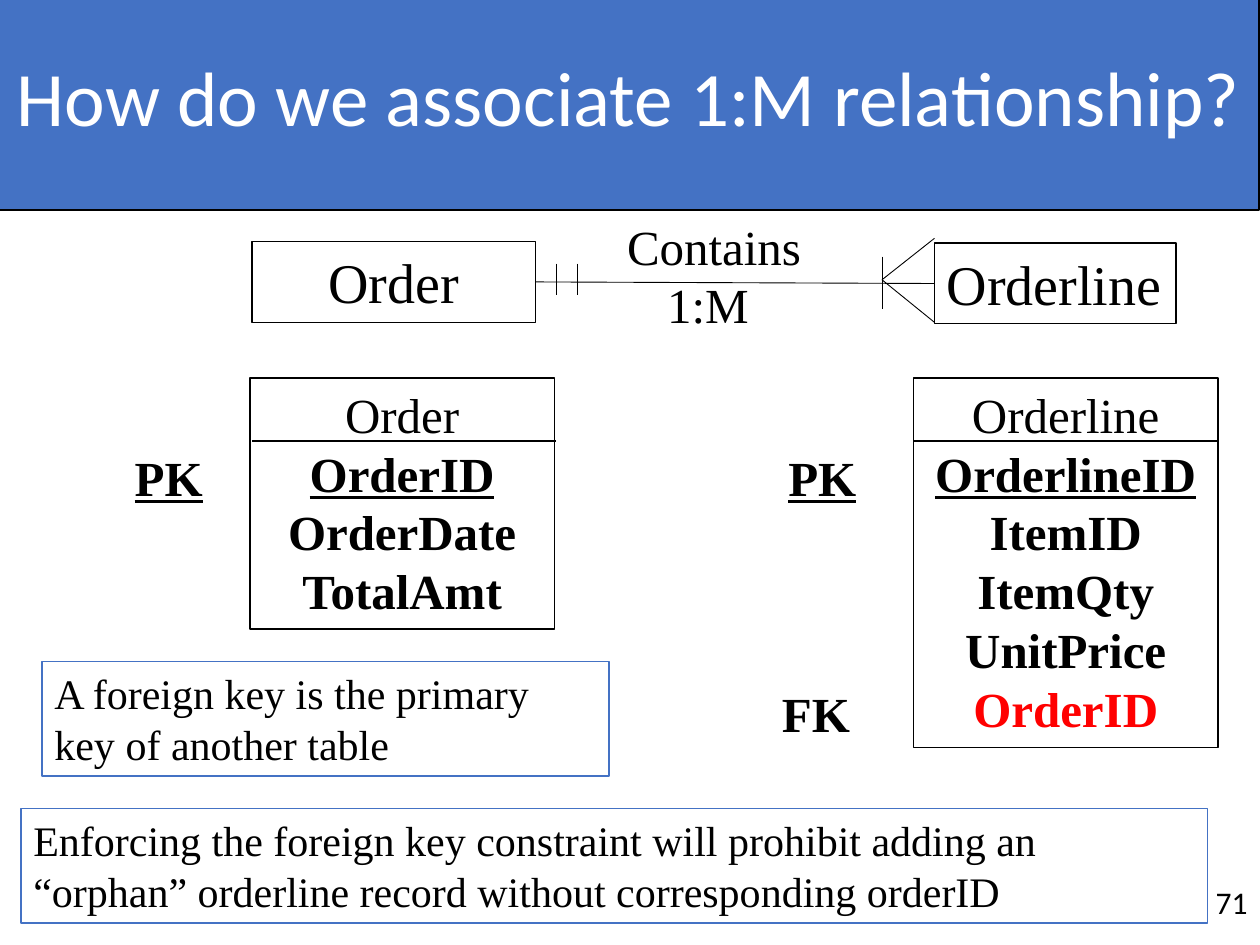
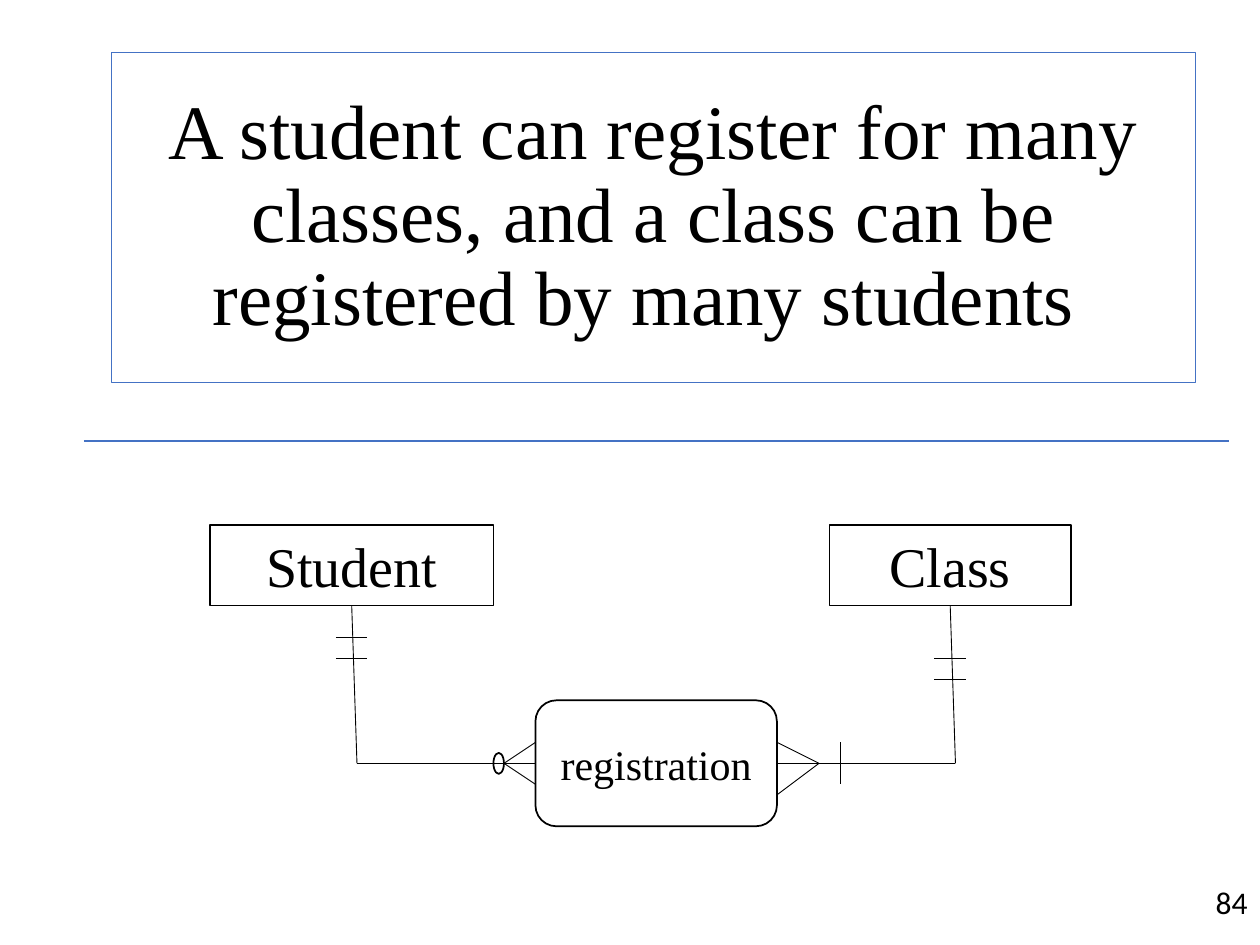
from dataclasses import dataclass
from typing import NamedTuple

import pptx
import pptx.dml.color
import pptx.enum.shapes
import pptx.enum.text
import pptx.oxml.ns
import pptx.util
from lxml import etree

RGB = pptx.dml.color.RGBColor
SHAPE = pptx.enum.shapes.MSO_SHAPE
ALIGN = pptx.enum.text.PP_ALIGN
ANCHOR = pptx.enum.text.MSO_ANCHOR

# Shared look
BLACK = RGB(0x00, 0x00, 0x00)
WHITE = RGB(0xFF, 0xFF, 0xFF)
BLUE = RGB(0x44, 0x72, 0xC4)
RED = RGB(0xFF, 0x00, 0x00)
SERIF, SANS = "Times New Roman", "Calibri"

# Grid of 120 columns by 90 rows
SLIDE_WIDTH, SLIDE_HEIGHT = pptx.util.Inches(10), pptx.util.Inches(7.5)
COLUMN, ROW = SLIDE_WIDTH / 120, SLIDE_HEIGHT / 90
LABEL_ROWS = 6.9
ENTITY_ROWS = 7.7
NOTE_ROWS = 10.9


class Area(NamedTuple):
    column: float
    row: float
    columns: float
    rows: float

    def lengths(self) -> tuple:
        return (round(self.column * COLUMN), round(self.row * ROW),
                round(self.columns * COLUMN), round(self.rows * ROW))


class Point(NamedTuple):
    column: float
    row: float


@dataclass
class Line:
    text: str
    bold: bool = False
    underline: bool = False
    color: RGB = BLACK


@dataclass
class Style:
    size: float
    font: str = SERIF
    align: ALIGN = ALIGN.CENTER
    anchor: ANCHOR = ANCHOR.TOP
    spacing: float = 1.0


TITLE = Style(44, anchor=ANCHOR.MIDDLE, spacing=0.9)
BAND_TITLE = Style(44, SANS, anchor=ANCHOR.MIDDLE, spacing=0.9)
PAGE_NUMBER = Style(18, SANS, ALIGN.RIGHT, ANCHOR.MIDDLE)
ENTITY = Style(32)
TABLE = Style(28)
KEY = Style(28, align=ALIGN.LEFT)
NOTE = Style(24, align=ALIGN.LEFT)
LINK_ENTITY = Style(24, anchor=ANCHOR.MIDDLE)


def write(box, lines: list[Line], style: Style) -> None:
    frame = box.text_frame
    frame.word_wrap = True
    frame.vertical_anchor = style.anchor
    for index, line in enumerate(lines):
        para = frame.add_paragraph() if index else frame.paragraphs[0]
        para.text = line.text
        para.alignment = style.align
        para.line_spacing = style.spacing
        para.font.size = pptx.util.Pt(style.size)
        para.font.name = style.font
        para.font.bold = line.bold
        para.font.underline = line.underline
        para.font.color.rgb = line.color


def add_label(page, area: Area, line: Line, style: Style) -> None:
    write(page.shapes.add_textbox(*area.lengths()), [line], style)


def add_box(page, area: Area, lines: list[Line], style: Style,
            border: RGB = BLACK, fill: RGB | None = None,
            kind: SHAPE = SHAPE.RECTANGLE, weight: float = 0.75):
    box = page.shapes.add_shape(kind, *area.lengths())
    box.shadow.inherit = False
    if fill is None:
        box.fill.background()
    else:
        box.fill.solid()
        box.fill.fore_color.rgb = fill
    box.line.color.rgb = border
    box.line.width = pptx.util.Pt(weight)
    write(box, lines, style)
    return box


def add_line(page, start: Point, end: Point, color: RGB = BLACK,
             weight: float = 0.5):
    connector = page.shapes.add_connector(
        pptx.enum.shapes.MSO_CONNECTOR.STRAIGHT,
        round(start.column * COLUMN), round(start.row * ROW),
        round(end.column * COLUMN), round(end.row * ROW))
    connector.line.color.rgb = color
    connector.line.width = pptx.util.Pt(weight)
    etree.SubElement(connector._element.spPr, pptx.oxml.ns.qn("a:effectLst"))
    return connector


def add_upright(page, column: float, top: float, bottom: float) -> None:
    add_line(page, Point(column, top), Point(column, bottom))


def add_one_marks(page, column: float, rows: tuple) -> None:
    for row in rows:
        add_line(page, Point(column, row), Point(column + 3, row))


def add_many_mark(page, tip: Point, column: float, rows: tuple) -> None:
    for row in rows:
        add_line(page, tip, Point(column, row))


def add_table_box(page, column: float, rows: float, rule_column: float,
                  name: str, fields: list[Line]) -> None:
    add_box(page, Area(column, 36, 29, rows), [Line(name), *fields], TABLE)
    add_line(page, Point(rule_column, 42), Point(rule_column + 29, 42), weight=1)


def add_page(deck, number: str):
    page = deck.slides.add_slide(deck.slide_layouts[6])
    add_label(page, Area(114, 82.8, 6, 6.2), Line(number), PAGE_NUMBER)
    return page


def build_one_to_many(deck) -> None:
    page = add_page(deck, "71")
    add_box(page, Area(-0.1, -0.6, 120, 20.6),
            [Line("How do we associate 1:M relationship?", color=WHITE)],
            BAND_TITLE, fill=BLUE)

    # Entities and their relationship
    order = add_box(page, Area(24, 23, 27, ENTITY_ROWS), [Line("Order")], ENTITY)
    orderline = add_box(page, Area(89, 23.15, 23, ENTITY_ROWS), [Line("Orderline")],
                        Style(32, align=ALIGN.LEFT))
    contains = add_line(page, Point(51, 26.9), Point(89, 27))
    contains.begin_connect(order, 3)
    contains.end_connect(orderline, 1)
    add_label(page, Area(52, 20, 32, 12.5), Line("Contains\v1:M "), TABLE)
    add_many_mark(page, Point(84, 26.65), 89, (22.7, 30.7))
    for column in (53, 55):
        add_upright(page, column, 25.1, 28.1)
    add_upright(page, 84, 24.45, 29.4)

    # Tables with their keys
    add_table_box(page, 23.8, 23.9, 24, "Order", [
        Line("OrderID", bold=True, underline=True),
        Line("OrderDate", bold=True), Line("TotalAmt", bold=True)])
    add_table_box(page, 87, 35.2, 87, "Orderline", [
        Line("OrderlineID", bold=True, underline=True),
        Line("ItemID", bold=True), Line("ItemQty", bold=True),
        Line("UnitPrice", bold=True), Line("OrderID", bold=True, color=RED)])
    for key, column, row in (("PK", 11.65, 42), ("PK", 73.9, 42), ("FK", 73.3, 64.55)):
        add_label(page, Area(column, row, 12, LABEL_ROWS),
                  Line(key, bold=True, underline=key == "PK"), KEY)

    # Notes
    add_box(page, Area(4, 63, 54, NOTE_ROWS),
            [Line("A foreign key is the primary key of another table")],
            NOTE, border=BLUE)
    add_box(page, Area(2, 77, 113, NOTE_ROWS),
            [Line("Enforcing the foreign key constraint will prohibit adding an "
                  "“orphan” orderline record without corresponding orderID")],
            NOTE, border=BLUE)


def build_many_to_many(deck) -> None:
    page = add_page(deck, "84")
    add_box(page, Area(10.65, 5, 103.2, 31.45),
            [Line("A student can register for many classes, and a class can be "
                  "registered by many students ")], TITLE, border=BLUE)
    add_line(page, Point(8, 42), Point(117, 42), BLUE, 1)

    # Entities
    student = add_box(page, Area(20, 50, 27, ENTITY_ROWS), [Line("Student")], ENTITY)
    school_class = add_box(page, Area(79, 50, 23, ENTITY_ROWS), [Line("Class")], ENTITY)
    registration = add_box(page, Area(51, 66.7, 23, 12), [Line("registration")],
                           LINK_ENTITY, kind=SHAPE.ROUNDED_RECTANGLE, weight=1)

    # Bent links from each entity to the registration
    middle = 72.7
    for entity, corner, side in ((student, 34, 1), (school_class, 91, 3)):
        bend = Point(corner, middle)
        add_line(page, bend, bend).begin_connect(entity, 2)
        add_line(page, bend, bend).end_connect(registration, side)

    # Cardinality marks
    add_many_mark(page, Point(48, middle), 51, (middle - 2, middle + 2))
    add_many_mark(page, Point(78, middle), 74, (middle - 2, middle + 3))
    add_box(page, Area(47, middle - 1, 1, 2), [], NOTE, kind=SHAPE.OVAL, weight=1)
    add_upright(page, 80, middle - 2, middle + 2)
    add_one_marks(page, 32, (60.7, 62.7))
    add_one_marks(page, 89, (62.7, 64.7))


def main() -> None:
    deck = pptx.Presentation()
    deck.slide_width, deck.slide_height = SLIDE_WIDTH, SLIDE_HEIGHT
    build_one_to_many(deck)
    build_many_to_many(deck)
    deck.save("out.pptx")


if __name__ == "__main__":
    main()
